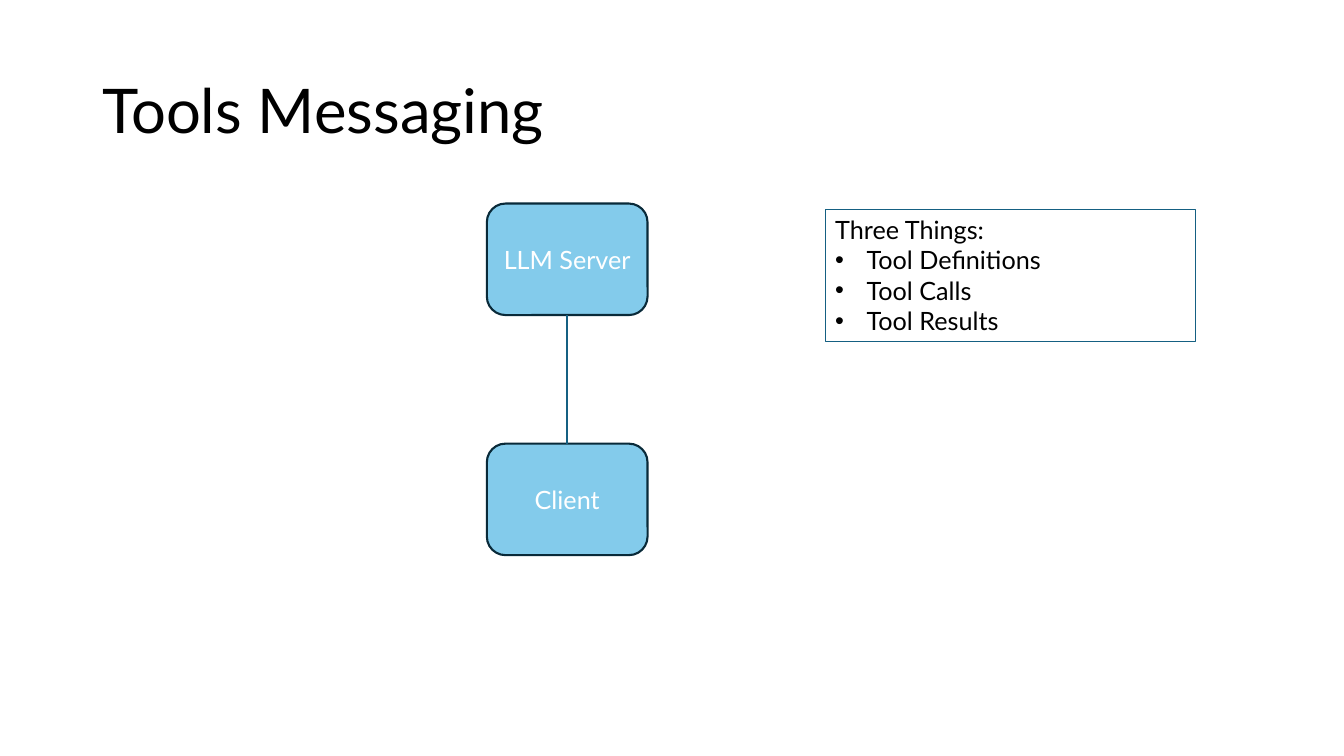
from lxml import etree
from pptx import Presentation
from pptx.dml.color import RGBColor
from pptx.enum.shapes import MSO_CONNECTOR, MSO_SHAPE
from pptx.enum.text import MSO_ANCHOR, PP_ALIGN
from pptx.oxml.ns import qn
from pptx.util import Cm, Pt

ROUNDED = MSO_SHAPE.ROUNDED_RECTANGLE
RECTANGLE = MSO_SHAPE.RECTANGLE
STRAIGHT = MSO_CONNECTOR.STRAIGHT
TOP, MIDDLE = MSO_ANCHOR.TOP, MSO_ANCHOR.MIDDLE
LEFT, CENTER = PP_ALIGN.LEFT, PP_ALIGN.CENTER

COLORS = {
    "text": "000000",
    "node_text": "FFFFFF",
    "node_fill": "83CBEB",
    "node_line": "092A39",
    "accent": "156082",
}
FONT = "Lato"


def color(name):
    return RGBColor.from_string(COLORS[name])


def apply_format(target, values):
    for name, value in values.items():
        setattr(target, name, value)


def write_para(para, text, size, color_name, layout):
    apply_format(para, layout)
    span = para.add_run()
    span.text = text
    apply_format(span.font, {"name": FONT, "size": Pt(size)})
    span.font.color.rgb = color(color_name)


def draw_line(line, color_name, width):
    line.color.rgb = color(color_name)
    line.width = Pt(width)


def add_bullet(para, indent):
    properties = para._p.get_or_add_pPr()
    properties.set("marL", str(indent))
    properties.set("indent", str(-indent))
    font = etree.SubElement(properties, qn("a:buFont"))
    font.set("typeface", "Arial")
    bullet = etree.SubElement(properties, qn("a:buChar"))
    bullet.set("char", "•")


def add_title(page, text, left, top, width, height):
    box = page.shapes.add_textbox(Cm(left), Cm(top), Cm(width), Cm(height))
    apply_format(box.text_frame, {"word_wrap": True, "vertical_anchor": MIDDLE})
    write_para(box.text_frame.paragraphs[0], text, 44, "text",
               {"alignment": LEFT, "line_spacing": 0.9})


def add_node(page, label, left, top, width, height):
    node = page.shapes.add_shape(ROUNDED, Cm(left), Cm(top), Cm(width), Cm(height))
    node.shadow.inherit = False
    node.fill.solid()
    node.fill.fore_color.rgb = color("node_fill")
    draw_line(node.line, "node_line", 1.5)
    apply_format(node.text_frame, {"word_wrap": True, "vertical_anchor": MIDDLE})
    write_para(node.text_frame.paragraphs[0], label, 18, "node_text",
               {"alignment": CENTER})
    return node


def add_message_flow(page, labels, left, top, width, height, node_height):
    step = (height - node_height) / (len(labels) - 1)
    nodes = [add_node(page, label, left, top + index * step, width, node_height)
             for index, label in enumerate(labels)]
    for upper, lower in zip(nodes, nodes[1:]):
        link = page.shapes.add_connector(STRAIGHT, 0, 0, 0, 0)
        link.begin_connect(upper, 2)
        link.end_connect(lower, 0)
        draw_line(link.line, "accent", 1.5)
        etree.SubElement(link._element.spPr, qn("a:effectLst"))


def add_list_panel(page, heading, items, left, top, width, height):
    panel = page.shapes.add_shape(RECTANGLE, Cm(left), Cm(top), Cm(width), Cm(height))
    panel.shadow.inherit = False
    panel.fill.background()
    draw_line(panel.line, "accent", 0.75)
    frame = panel.text_frame
    apply_format(frame, {"word_wrap": True, "vertical_anchor": TOP})
    write_para(frame.paragraphs[0], heading, 18, "text", {"alignment": LEFT})
    for item in items:
        para = frame.add_paragraph()
        write_para(para, item, 18, "text", {"alignment": LEFT})
        add_bullet(para, Cm(0.79))


def main():
    deck = Presentation()
    apply_format(deck, {"slide_width": Cm(33.87), "slide_height": Cm(19.05)})
    page = deck.slides.add_slide(deck.slide_layouts[6])
    add_title(page, "Tools Messaging", 2.33, 1.02, 29.21, 3.68)
    add_message_flow(page, ["LLM Server", "Client"], 12.27, 5.13, 4.05, 8.86, 2.81)
    add_list_panel(page, "Three Things:",
                   ["Tool Definitions", "Tool Calls", "Tool Results"],
                   20.8, 5.28, 9.32, 3.33)
    deck.save("out.pptx")


if __name__ == "__main__":
    main()
